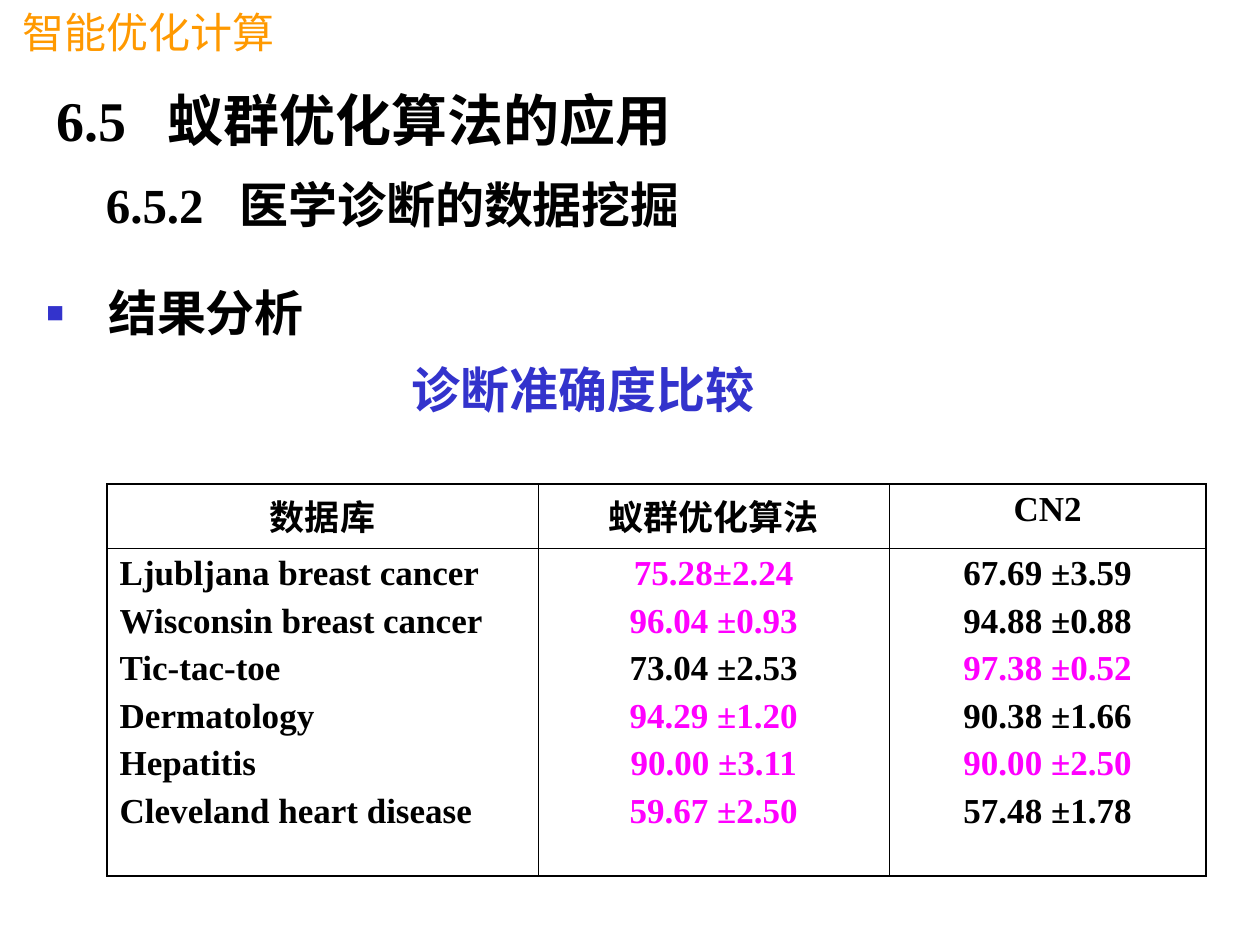
from lxml import etree
from pptx import Presentation
from pptx.dml.color import RGBColor
from pptx.enum.text import PP_ALIGN
from pptx.oxml.ns import qn
from pptx.util import Emu, Inches, Pt

LEFT, CENTER = PP_ALIGN.LEFT, PP_ALIGN.CENTER
WIDTH, HEIGHT = Inches(10), Inches(7.5)
SERIF, SANS = "Times New Roman", "Arial"
COLORS = {"text": "000000", "course": "FF9900", "accent": "3333CC", "best": "FF00FF"}
OUTER, INNER = 1.08, 0.45
COLUMN_SHARES, ROW_SHARES = (34.2, 27.9, 25.1), (6.8, 34.67)
HEADERS = ("数据库", "蚁群优化算法", "CN2")
RESULTS = (
    ("Ljubljana breast cancer", "75.28±2.24", "67.69 ±3.59"),
    ("Wisconsin breast cancer", "96.04 ±0.93", "94.88 ±0.88"),
    ("Tic-tac-toe", "73.04 ±2.53", "97.38 ±0.52"),
    ("Dermatology", "94.29 ±1.20", "90.38 ±1.66"),
    ("Hepatitis", "90.00 ±3.11", "90.00 ±2.50"),
    ("Cleveland heart disease", "59.67 ±2.50", "57.48 ±1.78"),
)


def across(share):
    """Turn a percentage of the slide width into a length."""
    return Emu(round(WIDTH * share / 100))


def down(share):
    """Turn a percentage of the slide height into a length."""
    return Emu(round(HEIGHT * share / 100))


def place(box):
    """Turn left, top, width and height percentages into lengths."""
    left, top, width, height = box
    return across(left), down(top), across(width), down(height)


def add_element(parent, tag, **attributes):
    """Append a drawing element with the given attributes."""
    element = etree.SubElement(parent, qn(tag))
    for name, value in attributes.items():
        element.set(name, str(value))
    return element


def add_span(para, text, size, color="text", font=SERIF, bold=True):
    """Add one styled run to a paragraph."""
    span = para.add_run()
    span.text = text
    span.font.size = Pt(size)
    span.font.name = font
    span.font.bold = bold
    span.font.color.rgb = RGBColor.from_string(COLORS[color])


def add_frame(page, box, inset=1):
    """Add a wrapping text box and return its text frame."""
    frame = page.shapes.add_textbox(*place(box)).text_frame
    frame.word_wrap = True
    frame.margin_left = across(inset)
    return frame


def add_course(page, box):
    """Place the course name."""
    para = add_frame(page, box).paragraphs[0]
    add_span(para, "智能优化计算", 24, "course", SANS, False)


def add_heading(page, box, number, title, size, inset, stop):
    """Place a numbered heading whose title starts at a tab stop."""
    para = add_frame(page, box, inset).paragraphs[0]
    tabs = add_element(para._p.get_or_add_pPr(), "a:tabLst")
    add_element(tabs, "a:tab", pos=across(stop), algn="l")
    para.line_spacing = 1.05
    add_span(para, f"{number}\t{title}", size)


def add_analysis(page, box):
    """Place the bulleted topic and the caption of the table."""
    frame = add_frame(page, box)
    topic, caption = frame.paragraphs[0], frame.add_paragraph()
    settings = topic._p.get_or_add_pPr()
    settings.set("marL", str(across(4.9)))
    settings.set("indent", str(-across(4.9)))
    add_element(add_element(settings, "a:buClr"), "a:srgbClr", val=COLORS["accent"])
    add_element(settings, "a:buSzPct", val=60000)
    add_element(settings, "a:buFont", typeface=SANS)
    add_element(settings, "a:buChar", char="■")
    caption._p.get_or_add_pPr().set("marL", str(across(29)))
    topic.line_spacing = caption.line_spacing = 1.2
    caption.space_before = Pt(3.5)
    add_span(topic, "结果分析", 28)
    add_span(caption, "诊断准确度比较", 28, "accent")


def add_borders(cell, widths):
    """Draw the left, right, top and bottom borders of a cell."""
    settings = cell._tc.get_or_add_tcPr()
    for side, width in zip("LRTB", widths):
        line = add_element(settings, f"a:ln{side}", w=Pt(width))
        add_element(add_element(line, "a:solidFill"), "a:srgbClr", val=COLORS["text"])


def fill_cell(cell, entries, align):
    """Write one paragraph for each text and colour pair."""
    frame = cell.text_frame
    for index, (text, color) in enumerate(entries):
        para = frame.add_paragraph() if index else frame.paragraphs[0]
        para.alignment = align
        if index:
            para.space_before = Pt(5)
        add_span(para, text, 20, color)


def result_entries(column):
    """Pair the texts of a column with colours, marking the best accuracy."""
    entries = []
    for result in RESULTS:
        scores = [float(score.split("±")[0]) for score in result[1:]]
        best = column > 0 and scores[column - 1] == max(scores)
        entries.append((result[column], "best" if best else "text"))
    return entries


def add_results(page, box):
    """Place the table of diagnostic accuracy."""
    last = len(HEADERS) - 1
    table = page.shapes.add_table(2, len(HEADERS), *place(box)).table
    table.first_row = table.horz_banding = False
    for row, share in zip(table.rows, ROW_SHARES):
        row.height = down(share)
    for index, share in enumerate(COLUMN_SHARES):
        table.columns[index].width = across(share)
        left = INNER if index else OUTER
        right = OUTER if index == last else INNER
        head, body = table.cell(0, index), table.cell(1, index)
        add_borders(head, (left, right, OUTER, INNER))
        add_borders(body, (left, right, INNER, OUTER))
        head.fill.background()
        body.fill.background()
        fill_cell(head, [(HEADERS[index], "text")], CENTER)
        fill_cell(body, result_entries(index), CENTER if index else LEFT)


def main():
    """Build the slide and save the deck."""
    deck = Presentation()
    deck.slide_width, deck.slide_height = WIDTH, HEIGHT
    page = deck.slides.add_slide(deck.slide_layouts[6])
    add_course(page, (0.8, 0, 40.6, 6.67))
    add_analysis(page, (2.7, 28, 93.4, 69.33))
    add_heading(page, (3.5, 8, 96.5, 10.53), "6.5", "蚁群优化算法的应用", 32, 1, 8.8)
    add_heading(page, (3.5, 17.47, 96.5, 8.4), "6.5.2", "医学诊断的数据挖掘", 28, 4.9, 10.6)
    add_results(page, (8.5, 51.2, sum(COLUMN_SHARES), sum(ROW_SHARES)))
    deck.save("out.pptx")


if __name__ == "__main__":
    main()
